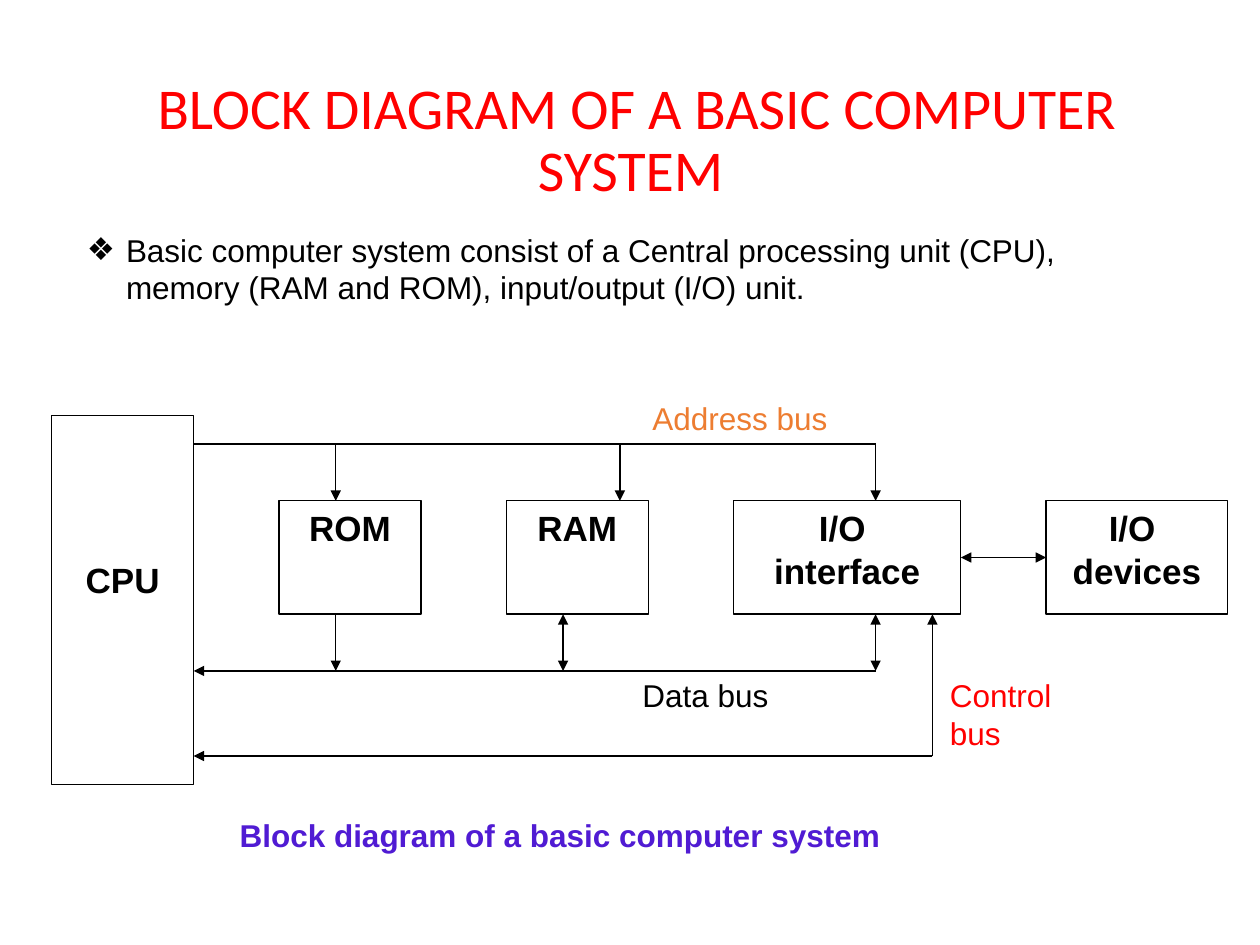
from lxml import etree
from pptx import Presentation
from pptx.dml.color import RGBColor
from pptx.enum.shapes import MSO_CONNECTOR, MSO_SHAPE
from pptx.enum.text import MSO_ANCHOR, PP_ALIGN
from pptx.oxml.ns import qn
from pptx.util import Inches, Pt

RECT, PROCESS = MSO_SHAPE.RECTANGLE, MSO_SHAPE.FLOWCHART_PROCESS
STRAIGHT = MSO_CONNECTOR.STRAIGHT
TOP, MIDDLE = MSO_ANCHOR.TOP, MSO_ANCHOR.MIDDLE
LEFT, CENTER = PP_ALIGN.LEFT, PP_ALIGN.CENTER

COLORS = {"black": "000000", "white": "FFFFFF", "red": "FF0000",
          "orange": "ED7D31", "violet": "501BD3"}

TITLE = " BLOCK DIAGRAM OF A BASIC COMPUTER SYSTEM"
SUMMARY = ("Basic computer system consist of a Central processing unit (CPU), "
           "memory (RAM and ROM), input/output (I/O) unit.")

# Diagram grid: columns and rows counted from the top left of the CPU
GRID_LEFT, GRID_TOP = 0.41, 3.3
COLUMN, ROW = 0.2255, 0.225
ADDRESS_ROW, UNIT_TOP, UNIT_MIDDLE, UNIT_BOTTOM, DATA_ROW, CONTROL_ROW = 1, 3, 5, 7, 9, 12
CPU_RIGHT, IO_COLUMN, CONTROL_COLUMN = 5, 29, 31

# text, shape, first column, last column, top row, bottom row, top inset
BLOCKS = [
    ("CPU", PROCESS, 0, CPU_RIGHT, 0, 13, 1.13),
    ("ROM", RECT, 8, 13, UNIT_TOP, UNIT_BOTTOM, 0.05),
    ("RAM", RECT, 16, 21, UNIT_TOP, UNIT_BOTTOM, 0.05),
    ("I/O \ninterface", RECT, 24, 32, UNIT_TOP, UNIT_BOTTOM, 0.05),
    ("I/O \ndevices", RECT, 35, 41.4, UNIT_TOP, UNIT_BOTTOM, 0.05),
]

# start, end, arrowheads
BUSES = [
    ((CPU_RIGHT, ADDRESS_ROW), (IO_COLUMN, ADDRESS_ROW), ()),
    ((IO_COLUMN, DATA_ROW), (CPU_RIGHT, DATA_ROW), ("tailEnd",)),
    ((CONTROL_COLUMN, CONTROL_ROW), (CPU_RIGHT, CONTROL_ROW), ("tailEnd",)),
    ((CONTROL_COLUMN, CONTROL_ROW), (CONTROL_COLUMN, UNIT_BOTTOM), ("tailEnd",)),
]
ADDRESS_TAPS = [10, 20, IO_COLUMN]
DATA_TAPS = [(10, ("tailEnd",)), (18, ("headEnd", "tailEnd")),
             (IO_COLUMN, ("headEnd", "tailEnd"))]

# text, left, top, width, height, colour, bold, alignment
LABELS = [
    ("Block diagram of a basic computer system", 0.43, 6.43, 8.03, 0.4, "violet", True, CENTER),
    ("Address bus", 5.08, 3.12, 1.65, 0.4, "orange", False, LEFT),
    ("Data bus", 5, 5.32, 1.65, 0.4, "black", False, LEFT),
    ("Control bus", 7.44, 5.32, 1.1, 0.7, "red", False, LEFT),
]


def color(name):
    return RGBColor.from_string(COLORS[name])


def grid(column, row):
    return Inches(GRID_LEFT + column * COLUMN), Inches(GRID_TOP + row * ROW)


def place(shape, left, top, width, height):
    shape.left, shape.top = Inches(left), Inches(top)
    shape.width, shape.height = Inches(width), Inches(height)


def write(shape, text, size, ink, bold=False, align=LEFT, font="Arial", anchor=TOP):
    frame = shape.text_frame
    frame.text = text
    frame.word_wrap = True
    frame.vertical_anchor = anchor
    for paragraph in frame.paragraphs:
        paragraph.alignment = align
        paragraph.space_before = Pt(0)
        for run in paragraph.runs:
            run.font.name, run.font.size, run.font.bold = font, Pt(size), bold
            run.font.color.rgb = color(ink)
    return frame


def add_block(slide, text, kind, first, last, top, bottom, inset):
    left, upper = grid(first, top)
    right, lower = grid(last, bottom)
    block = slide.shapes.add_shape(kind, left, upper, right - left, lower - upper)
    block.shadow.inherit = False
    block.fill.solid()
    block.fill.fore_color.rgb = color("white")
    block.line.color.rgb = color("black")
    block.line.width = Pt(0.75)
    write(block, text, 20, "black", True, CENTER).margin_top = Inches(inset)
    return block


def add_line(slide, start, end, heads):
    line = slide.shapes.add_connector(STRAIGHT, *grid(*start), *grid(*end))
    line.line.color.rgb = color("black")
    line.line.width = Pt(0.75)
    outline = line.line._get_or_add_ln()
    for head in heads:
        etree.SubElement(outline, qn("a:" + head), type="triangle")
    etree.SubElement(line._element.spPr, qn("a:effectLst"))
    return line


def add_bullet(paragraph, symbol):
    properties = paragraph._p.get_or_add_pPr()
    properties.set("marL", str(Inches(0.31)))
    properties.set("indent", str(-Inches(0.31)))
    bullet_color = etree.SubElement(properties, qn("a:buClr"))
    etree.SubElement(bullet_color, qn("a:srgbClr"), val=COLORS["black"])
    etree.SubElement(properties, qn("a:buFont"), typeface="Arial")
    etree.SubElement(properties, qn("a:buChar"), char=symbol)


def main():
    deck = Presentation()
    deck.slide_width, deck.slide_height = Inches(10), Inches(7.5)
    slide = deck.slides.add_slide(deck.slide_layouts[1])

    title = slide.shapes.title
    place(title, 0.69, 0.4, 8.63, 1.45)
    heading = write(title, TITLE, 33, "red", align=CENTER, font="Calibri", anchor=MIDDLE)
    heading.paragraphs[0].line_spacing = 0.9

    summary = slide.placeholders[1]
    place(summary, 0.59, 1.78, 7.95, 0.7)
    add_bullet(write(summary, SUMMARY, 18, "black").paragraphs[0], "❖")

    blocks = [add_block(slide, *block) for block in BLOCKS]
    for bus in BUSES:
        add_line(slide, *bus)
    for column in ADDRESS_TAPS:
        add_line(slide, (column, ADDRESS_ROW), (column, UNIT_TOP), ("tailEnd",))
    for column, heads in DATA_TAPS:
        add_line(slide, (column, UNIT_BOTTOM), (column, DATA_ROW), heads)

    interface, devices = blocks[-2:]
    link = add_line(slide, (32, UNIT_MIDDLE), (35, UNIT_MIDDLE), ("headEnd", "tailEnd"))
    link.begin_connect(interface, 3)
    link.end_connect(devices, 1)

    for text, left, top, width, height, ink, bold, align in LABELS:
        label = slide.shapes.add_textbox(0, 0, 0, 0)
        place(label, left, top, width, height)
        write(label, text, 18, ink, bold, align)

    deck.save("out.pptx")


if __name__ == "__main__":
    main()
